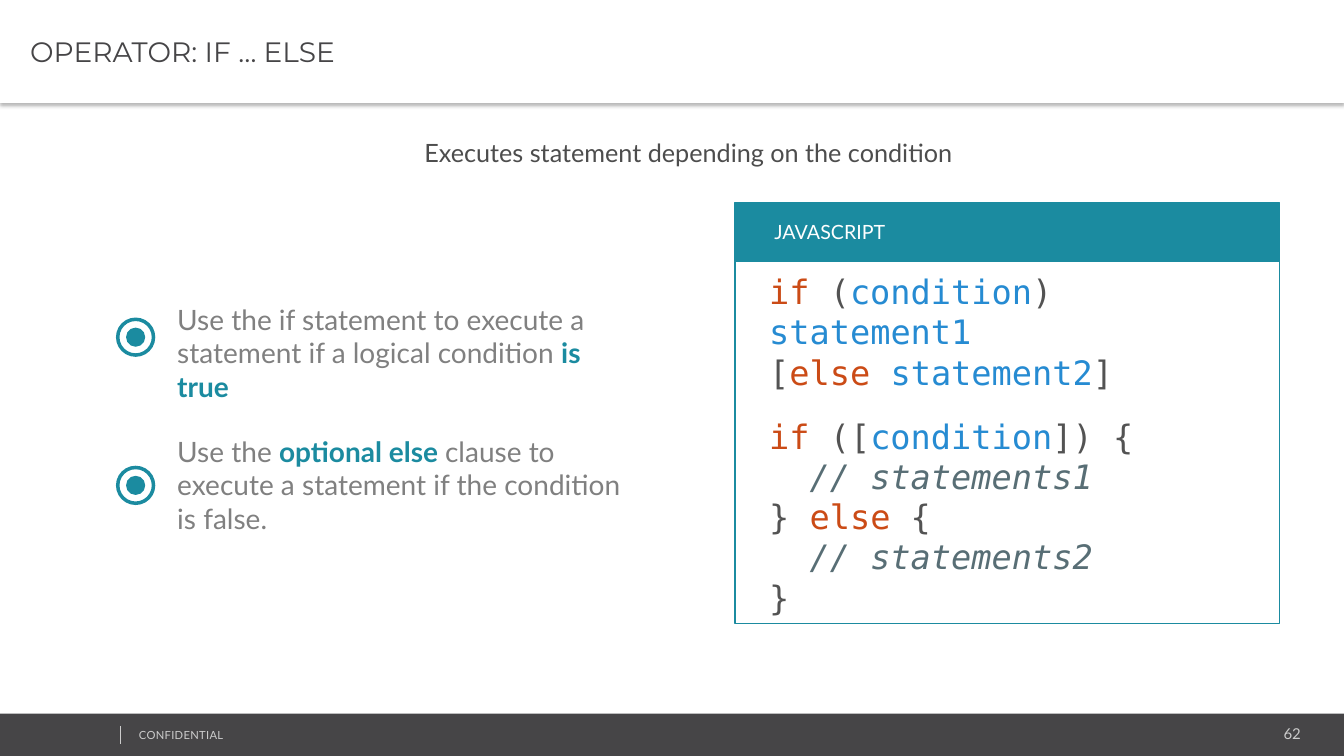
from pptx import Presentation
from pptx.dml.color import RGBColor
from pptx.enum.shapes import MSO_CONNECTOR, MSO_SHAPE
from pptx.enum.text import MSO_ANCHOR, PP_ALIGN
from pptx.oxml import parse_xml
from pptx.oxml.ns import nsdecls
from pptx.util import Inches, Pt

TEAL, DARK, WHITE, PALE, GRAY = "1B8BA0", "464547", "FFFFFF", "CCCCCC", "808080"
KEYWORD, NAME, PLAIN, COMMENT = "CB4B16", "268BD2", "535353", "586E75"

TITLE = "OPERATOR: IF … ELSE"
SUBTITLE = "Executes statement depending on the condition"
FOOTER, PAGE_NUMBER = "CONFIDENTIAL", "62"
LANGUAGE = "JAVASCRIPT"
POINTS = [
    [("Use the if statement to execute a statement if a logical condition ", GRAY), ("is true", TEAL)],
    [("Use the ", GRAY), ("optional else ", TEAL),
     ("clause to execute a statement if the condition is false.", GRAY)],
]
SYNTAX = [
    [("if", KEYWORD), (" (", PLAIN), ("condition", NAME), (") ", PLAIN), ("statement1", NAME)],
    [("[", PLAIN), ("else ", KEYWORD), ("statement2", NAME), ("]", PLAIN)],
]
BLOCK = [
    [("if", KEYWORD), (" ([", PLAIN), ("condition", NAME), ("]) {", PLAIN)],
    [("  ", PLAIN), ("// statements1", COMMENT)],
    [("} ", PLAIN), ("else", KEYWORD), (" {", PLAIN)],
    [("  ", PLAIN), ("// statements2", COMMENT)],
    [("}", PLAIN)],
]

WIDTH, HEIGHT = 13.33, 7.5
HEADER_HEIGHT = 1.02
FOOTER_TOP = 7.08
PANEL_LEFT, PANEL_TOP, PANEL_WIDTH = 7.29, 2.01, 5.4
TAB_HEIGHT, CODE_HEIGHT = 0.58, 3.6
POINT_LEFT, POINT_TOP, POINT_STEP, POINT_WIDTH = 1.66, 2.95, 1.31, 4.6
MARKER_LEFT, MARKER_TOP, MARKER_STEP = 1.15, 3.15, 1.47
RING, DOT = 0.39, 0.19

presentation = Presentation()
presentation.slide_width, presentation.slide_height = Inches(WIDTH), Inches(HEIGHT)
slide = presentation.slides.add_slide(presentation.slide_layouts[6])


def color(value):
    return RGBColor.from_string(value)


def add_box(kind, left, top, width, height, fill=None, line=None):
    shape = slide.shapes.add_shape(kind, Inches(left), Inches(top), Inches(width), Inches(height))
    shape.shadow.inherit = False
    if fill:
        shape.fill.solid()
        shape.fill.fore_color.rgb = color(fill)
    else:
        shape.fill.background()
    if line:
        shape.line.color.rgb = color(line)
        shape.line.width = Pt(0.75)
    else:
        shape.line.fill.background()
    return shape


def add_text_box(left, top, width, height):
    return slide.shapes.add_textbox(Inches(left), Inches(top), Inches(width), Inches(height))


def write(shape, lines, size, font="Lato", align=PP_ALIGN.LEFT, anchor=MSO_ANCHOR.TOP):
    frame = shape.text_frame
    frame.word_wrap = True
    frame.vertical_anchor = anchor
    for index, pieces in enumerate(lines):
        paragraph = frame.add_paragraph() if index else frame.paragraphs[0]
        paragraph.alignment = align
        for text, value in pieces:
            run = paragraph.add_run()
            run.text = text
            run.font.name, run.font.size = font, Pt(size)
            run.font.color.rgb = color(value)
            run.font.bold = value == TEAL
            run.font.italic = value == COMMENT
    return frame


add_box(MSO_SHAPE.RECTANGLE, 0, FOOTER_TOP, WIDTH, HEIGHT - FOOTER_TOP, DARK)
write(add_text_box(10.82, 7.14, 2.18, 0.28), [[(PAGE_NUMBER, PALE)]], 10.7, align=PP_ALIGN.RIGHT)
footer = write(add_text_box(1.28, 7.18, 3.38, 0.24), [[(FOOTER, PALE)]], 8)
footer.paragraphs[0].runs[0]._r.get_or_add_rPr().set("spc", "20")
divider = slide.shapes.add_connector(
    MSO_CONNECTOR.STRAIGHT, Inches(1.19), Inches(7.2), Inches(1.19), Inches(7.38))
divider.line.color.rgb = color(PALE)
divider.line.width = Pt(0.25)
divider._element.spPr.append(parse_xml(f"<a:effectLst {nsdecls('a')}/>"))

tab = add_box(MSO_SHAPE.RECTANGLE, PANEL_LEFT, PANEL_TOP, PANEL_WIDTH, TAB_HEIGHT, TEAL, TEAL)
write(tab, [[(LANGUAGE, WHITE)]], 14, anchor=MSO_ANCHOR.MIDDLE).margin_left = Inches(0.39)
code_top = PANEL_TOP + TAB_HEIGHT
add_box(MSO_SHAPE.RECTANGLE, PANEL_LEFT, code_top, PANEL_WIDTH, CODE_HEIGHT, line=TEAL)
code = write(add_text_box(PANEL_LEFT + 0.24, code_top + 0.1, PANEL_WIDTH - 0.48, CODE_HEIGHT - 0.1),
             SYNTAX + BLOCK, 24, "DejaVu Sans Mono")
code.margin_top = 0
for paragraph in code.paragraphs:
    paragraph.line_spacing = Pt(28.75)
code.paragraphs[len(SYNTAX)].space_before = Pt(17)

for row, point in enumerate(POINTS):
    write(add_text_box(POINT_LEFT, POINT_TOP + row * POINT_STEP, POINT_WIDTH, 1.11), [point], 20)
    marker_top = MARKER_TOP + row * MARKER_STEP
    inset = (RING - DOT) / 2
    add_box(MSO_SHAPE.OVAL, MARKER_LEFT + inset, marker_top + inset, DOT, DOT, TEAL)
    ring = add_box(MSO_SHAPE.DONUT, MARKER_LEFT, marker_top, RING, RING, TEAL)
    ring.adjustments[0] = 0.09

write(add_text_box(4.11, 1.31, 5.62, 0.4), [[(SUBTITLE, "4D4D4D")]], 18)

header = add_box(MSO_SHAPE.RECTANGLE, 0, 0, WIDTH, HEADER_HEIGHT, WHITE)
write(header, [[(TITLE, DARK)]], 20, "Montserrat", anchor=MSO_ANCHOR.MIDDLE).margin_left = Inches(0.3)
properties = header._element.spPr
properties.remove(properties.find("{http://schemas.openxmlformats.org/drawingml/2006/main}effectLst"))
properties.append(parse_xml(
    f"<a:effectLst {nsdecls('a')}><a:outerShdw blurRad='{Pt(3.1)}' dist='{Pt(2)}' dir='5400000'>"
    "<a:srgbClr val='000000'><a:alpha val='30000'/></a:srgbClr></a:outerShdw></a:effectLst>"))

presentation.save("out.pptx")
